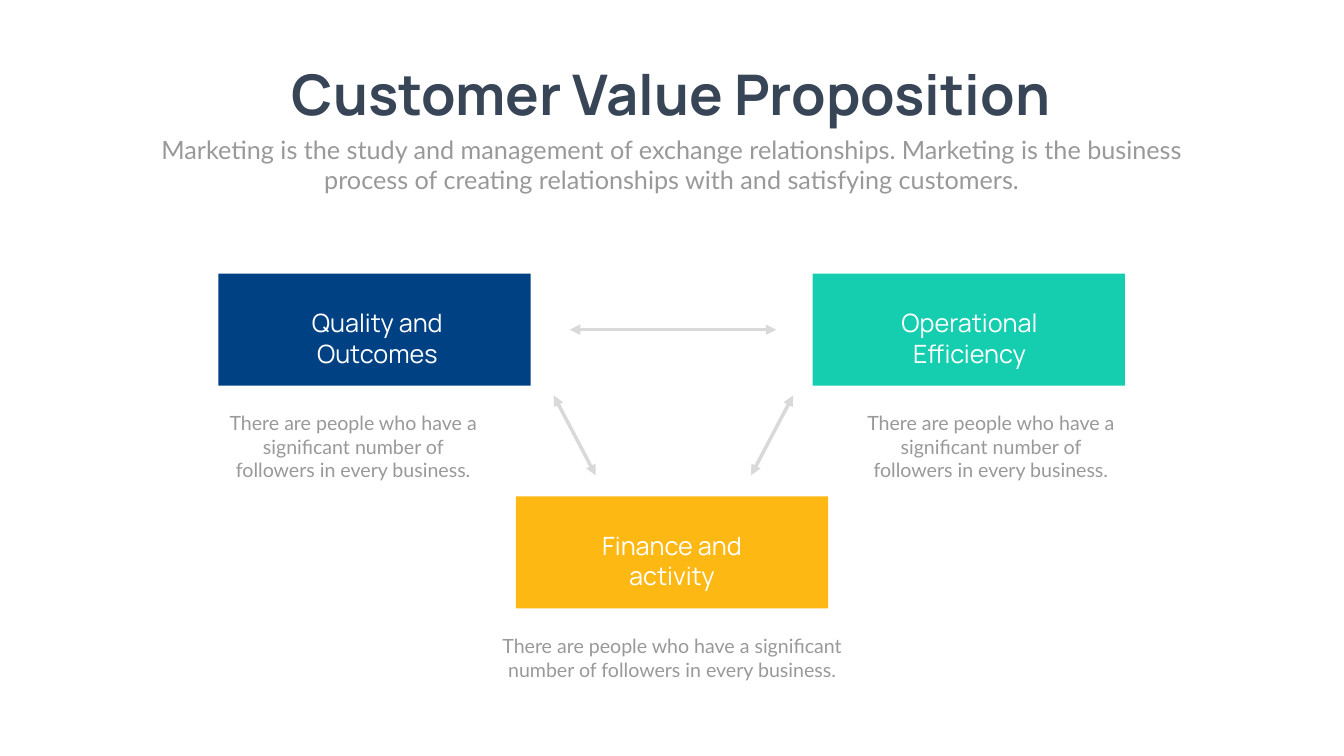
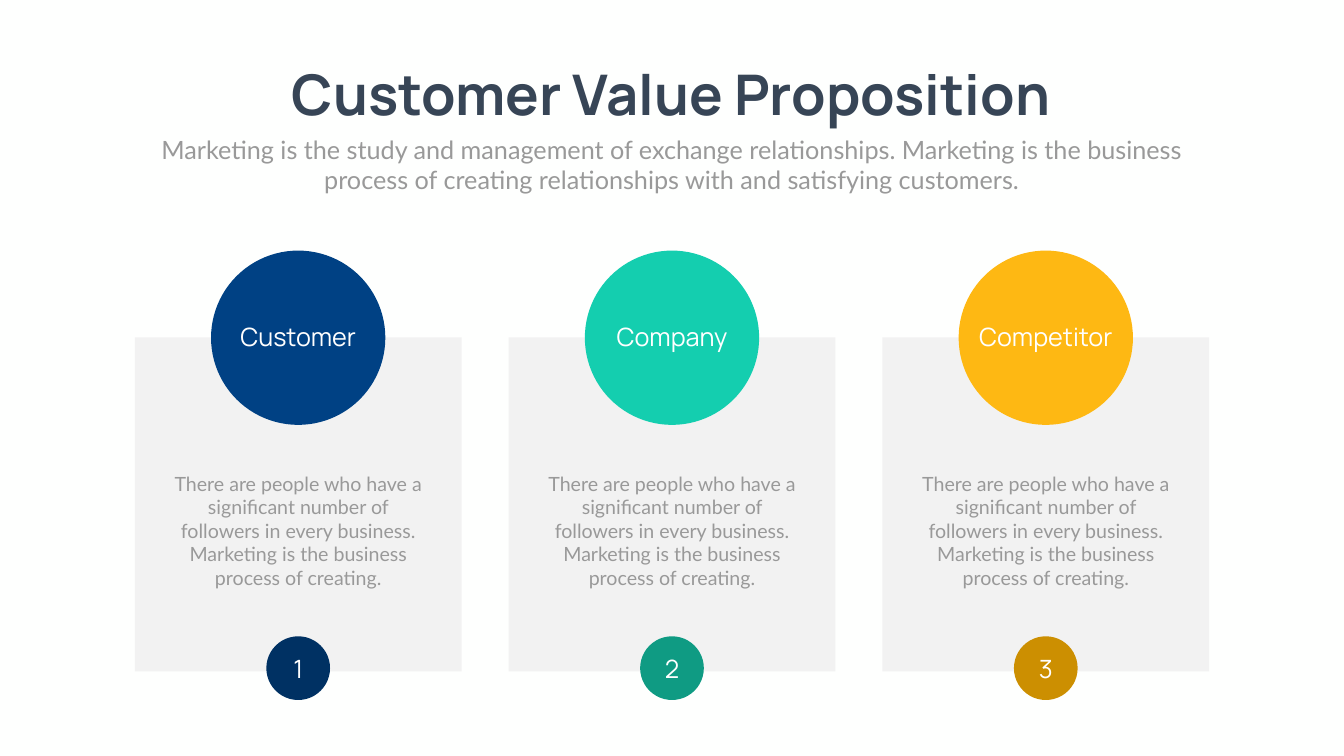
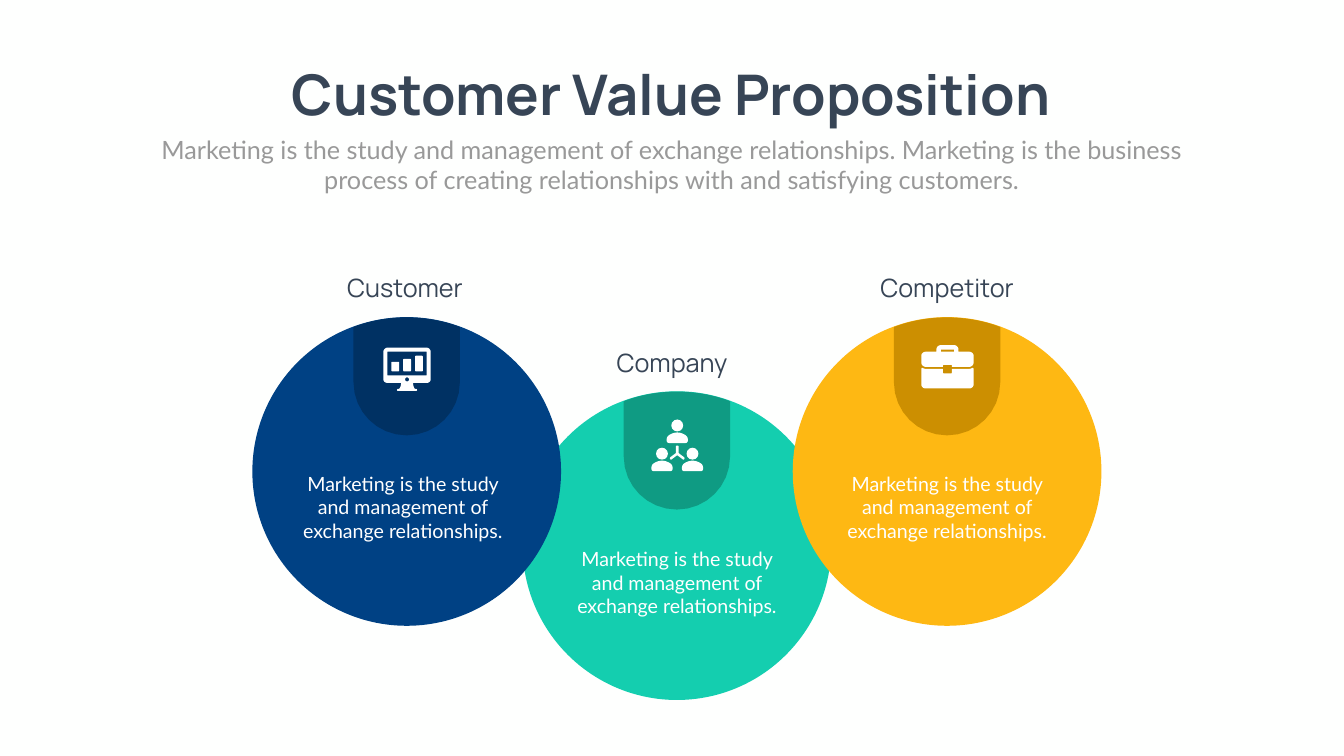
import pptx
import pptx.util
import pptx.dml.color
import pptx.enum.shapes
import pptx.enum.text
import pptx.oxml
import pptx.oxml.ns
from lxml import etree

Pt = pptx.util.Pt
KIND = pptx.enum.shapes.MSO_SHAPE
TEXT = pptx.enum.text

HEX = {
    "back": "FEFFFE", "ink": "374556", "grey": "999999", "white": "FFFFFF",
    "card": "F2F2F2", "arrow": "D9D9D9",
    "blue": "004184", "teal": "14CEAF", "gold": "FEB813",
    "deep blue": "003163", "deep teal": "0F9B83", "deep gold": "CC8F01",
}
WIDE, HIGH = 1920, 1080

TITLE = "Customer Value Proposition"
LEAD = ("Marketing is the study and management of exchange relationships. "
        "Marketing is the business process of creating relationships with "
        "and satisfying customers.")
NOTE = ("There are people who have a significant number of followers "
        "in every business.")
MORE = NOTE + " Marketing is the business process of creating."
BRIEF = "Marketing is the study and management of exchange relationships."

HEAD = {"size": Pt(80), "name": "Manrope", "bold": True}
LABEL = {"size": Pt(36), "name": "Manrope"}
INTRO = {"size": Pt(36), "name": "Lato"}
BODY = {"size": Pt(28), "name": "Lato"}

# Triangle: label, colour, box left and top, label left, note left and width
GOALS = [
    ("Quality and Outcomes", "blue", 312, 391, 415, 312, 385),
    ("Operational Efficiency", "teal", 1161, 391, 1261, 1223, 385),
    ("Finance and activity", "gold", 737, 709, 836, 679, 562),
]
ARROWS = [(814, 471, 1109, 471), (1073, 679, 1133, 565), (851, 679, 791, 565)]

CARDS = [("Customer", "blue"), ("Company", "teal"), ("Competitor", "gold")]

# Circles, back to front: label, colour, circle centre and top,
# label centre, note centre and top
RINGS = [
    ("Company", "teal", 967, 559, 960, 967, 778),
    ("Competitor", "gold", 1353, 453, 1353, 1353, 670),
    ("Customer", "blue", 581, 453, 578.5, 575.5, 670),
]

# Right halves of symmetric outlines, from the centre top of a circle.
# Two numbers are a corner, six are a curve.
TAB = [[(0, 0), (23, 0, 45.4, 3.6, 65.5, 10), (76, 13.7), (76, 92.5),
        (76, 134.6, 42, 168.5, 0, 168.5)]]
SCREEN = [
    [(0, 43.2), (28, 43.2), (30.9, 43.2, 33.8, 46.1, 33.8, 49), (33.8, 88.6),
     (33.8, 91.4, 30.9, 93.6, 28, 93.6), (8.6, 93.6),
     (8.6, 96.5, 9.4, 100, 10.8, 101.5), (11.5, 102.2, 11.5, 102.2, 13, 102.2),
     (13.7, 102.2, 14.4, 103, 14.4, 103.7),
     (14.4, 104.4, 13.7, 105.1, 13, 105.1), (0, 105.1)],
    [(0, 85.7), (1.6, 85.7, 2.9, 87, 2.9, 88.6),
     (2.9, 90.1, 1.6, 91.4, 0, 91.4)],
    [(0, 49), (28, 49), (28, 82.8), (0, 82.8)],
]
BARS = [13.7, 18, 22.3]
BUST = [[(0, 58.3), (5, 58.3, 9, 60.5, 11.5, 61.9),
         (13.7, 63.4, 15.1, 65.5, 15.1, 68.4), (15.1, 69.8),
         (15.1, 72, 13.7, 73.4, 11.5, 73.4), (0, 73.4)]]
SPOKES = [[(0, 77), (1.2, 77, 2, 77.8, 2, 78.5), (2, 87.8), (9.7, 93.6),
           (10.6, 94.5, 10.6, 95.7, 9.9, 96.5),
           (9.2, 97.3, 8.4, 97.3, 7.6, 96.5), (0, 90.8)]]
CREW = [(0, 0), (-21.8, 40.3), (21.8, 40.3)]
LID = [
    [(0, 39.6), (9.4, 39.6), (13, 39.6, 15.8, 42.5, 15.8, 46.1), (15.8, 49),
     (31, 49), (34.6, 49, 37.4, 51.8, 37.4, 54.7), (37.4, 64),
     (37.4, 67.7, 34.6, 70.6, 31, 70.6), (6.5, 70.6), (6.5, 69.1),
     (6.5, 68.4, 5.8, 67.7, 5, 67.7), (0, 67.7)],
    [(0, 46.1), (9.4, 46.1), (9.4, 49), (0, 49)],
]
CASE = [[(0, 80), (5, 80), (5.8, 80, 6.5, 79.2, 6.5, 78.5), (6.5, 73.4),
         (31, 73.4), (32.4, 73.4, 33.5, 73, 34.6, 72.7),
         (35.3, 72, 36, 72, 36.7, 72), (37.4, 73.4), (37.4, 95.8),
         (37.4, 98.6, 34.6, 101.5, 31, 101.5), (0, 101.5)]]


def tint(name):
    return pptx.dml.color.RGBColor.from_string(HEX[name])


def write(shape, words, style, color):
    para = shape.text_frame.paragraphs[0]
    para.alignment = TEXT.PP_ALIGN.CENTER
    run = para.add_run()
    run.text = words
    for key, value in style.items():
        setattr(run.font, key, value)
    run.font.color.rgb = tint(color)


def put(slide, words, style, color, left, top, width, height):
    box = slide.shapes.add_textbox(Pt(left), Pt(top), Pt(width), Pt(height))
    box.text_frame.word_wrap = True
    write(box, words, style, color)


def paint(shape, color):
    shape.shadow.inherit = False
    shape.fill.solid()
    shape.fill.fore_color.rgb = tint(color)
    shape.line.fill.background()
    return shape


def block(slide, kind, color, left, top, width, height):
    return paint(slide.shapes.add_shape(
        kind, Pt(left), Pt(top), Pt(width), Pt(height)), color)


def disc(slide, color, mid, top, size):
    return block(slide, KIND.OVAL, color, mid - size / 2, top, size, size)


def trace(half, mid, top, steps=8):
    """Flatten the curves of a half outline, mirror it and place it."""
    dots = []
    for part in half:
        if len(part) == 2:
            dots.append(part)
            continue
        ax, ay = dots[-1]
        bx, by, cx, cy, dx, dy = part
        for step in range(1, steps + 1):
            t = step / steps
            u = 1 - t
            w = (u ** 3, 3 * u * u * t, 3 * u * t * t, t ** 3)
            dots.append((w[0] * ax + w[1] * bx + w[2] * cx + w[3] * dx,
                         w[0] * ay + w[1] * by + w[2] * cy + w[3] * dy))
    dots += [(-x, y) for x, y in reversed(dots)]
    return [(Pt(mid + x), Pt(top + y)) for x, y in dots]


def draw(slide, halves, color, mid, top):
    first, *holes = [trace(half, mid, top) for half in halves]
    pen = slide.shapes.build_freeform(*first[0])
    pen.add_line_segments(first[1:], close=True)
    for hole in holes:
        pen.move_to(*hole[0])
        pen.add_line_segments(hole[1:], close=True)
    paint(pen.convert_to_shape(), color)


def link(slide, ends):
    line = slide.shapes.add_connector(
        pptx.enum.shapes.MSO_CONNECTOR.STRAIGHT, *map(Pt, ends))
    line.line.color.rgb = tint("arrow")
    line.line.width = Pt(5)
    stroke = line.line._get_or_add_ln()
    for end in ("a:headEnd", "a:tailEnd"):
        etree.SubElement(stroke, pptx.oxml.ns.qn(end), type="triangle")
    etree.SubElement(stroke.getparent(), pptx.oxml.ns.qn("a:effectLst"))


def start(deck):
    """Add a slide with the shared title and lead."""
    slide = deck.slides.add_slide(deck.slide_layouts[5])
    title = slide.shapes.title
    place = {"left": 369, "top": 81, "width": 1180, "height": 104}
    for key, value in place.items():
        setattr(title, key, Pt(value))
    frame = title.text_frame
    frame.word_wrap = False
    frame.auto_size = TEXT.MSO_AUTO_SIZE.NONE
    frame.vertical_anchor = TEXT.MSO_ANCHOR.TOP
    write(title, TITLE, HEAD, "ink")
    put(slide, LEAD, INTRO, "grey", 210, 188, 1499, 94)
    return slide


def goals(slide):
    for words, color, left, top, inset, side, width in GOALS:
        block(slide, KIND.RECTANGLE, color, left, top, 446, 160)
        put(slide, words, LABEL, "white", inset, top + 45, 248, 78)
        put(slide, NOTE, BODY, "grey", side, top + 193, width, 91)
    for ends in ARROWS:
        link(slide, ends)


def cards(slide):
    for col, (words, color) in enumerate(CARDS):
        mid = WIDE / 2 + (col - 1) * 534
        block(slide, KIND.RECTANGLE, "card", mid - 233.5, 482, 467, 477)
        disc(slide, color, mid, 358, 249)
        put(slide, words, LABEL, "white", mid - 135.5, 456, 271, 51)
        put(slide, MORE, BODY, "grey", mid - 184, 670, 368, 177)
        badge = disc(slide, "deep " + color, mid, 909, 91)
        badge.text_frame.vertical_anchor = TEXT.MSO_ANCHOR.MIDDLE
        write(badge, str(col + 1), LABEL, "white")


def chart(slide, mid, top):
    draw(slide, SCREEN, "white", mid, top)
    for col, tall in enumerate(BARS):
        bar = block(slide, KIND.ROUNDED_RECTANGLE, "white",
                    mid - 22.4 + col * 16.9, top + 77 - tall, 11.2, tall)
        bar.adjustments[0] = 0.12


def team(slide, mid, top):
    for dx, dy in CREW:
        disc(slide, "white", mid + dx, top + dy + 39.8, 17)
        draw(slide, BUST, "white", mid + dx, top + dy)
    draw(slide, SPOKES, "white", mid, top)


def bag(slide, mid, top):
    for part in (LID, CASE):
        draw(slide, part, "white", mid, top)


ICONS = {"Customer": chart, "Company": team, "Competitor": bag}


def rings(slide):
    for words, color, mid, top, head, note, low in RINGS:
        disc(slide, color, mid, top, 441)
        draw(slide, TAB, "deep " + color, mid, top + 0.5)
        ICONS[words](slide, mid + 0.5, top + 0.5)
        put(slide, BRIEF, BODY, "white", note - 160, low, 320, 109)
        put(slide, words, LABEL, "ink", head - 135.5, top - 67, 271, 51)


def main():
    deck = pptx.Presentation()
    deck.slide_width, deck.slide_height = Pt(WIDE), Pt(HIGH)
    fill = deck.slide_master.background.fill
    fill.solid()
    fill.fore_color.rgb = tint("back")
    for build in (goals, cards, rings):
        build(start(deck))
    deck.save("out.pptx")


if __name__ == "__main__":
    main()
